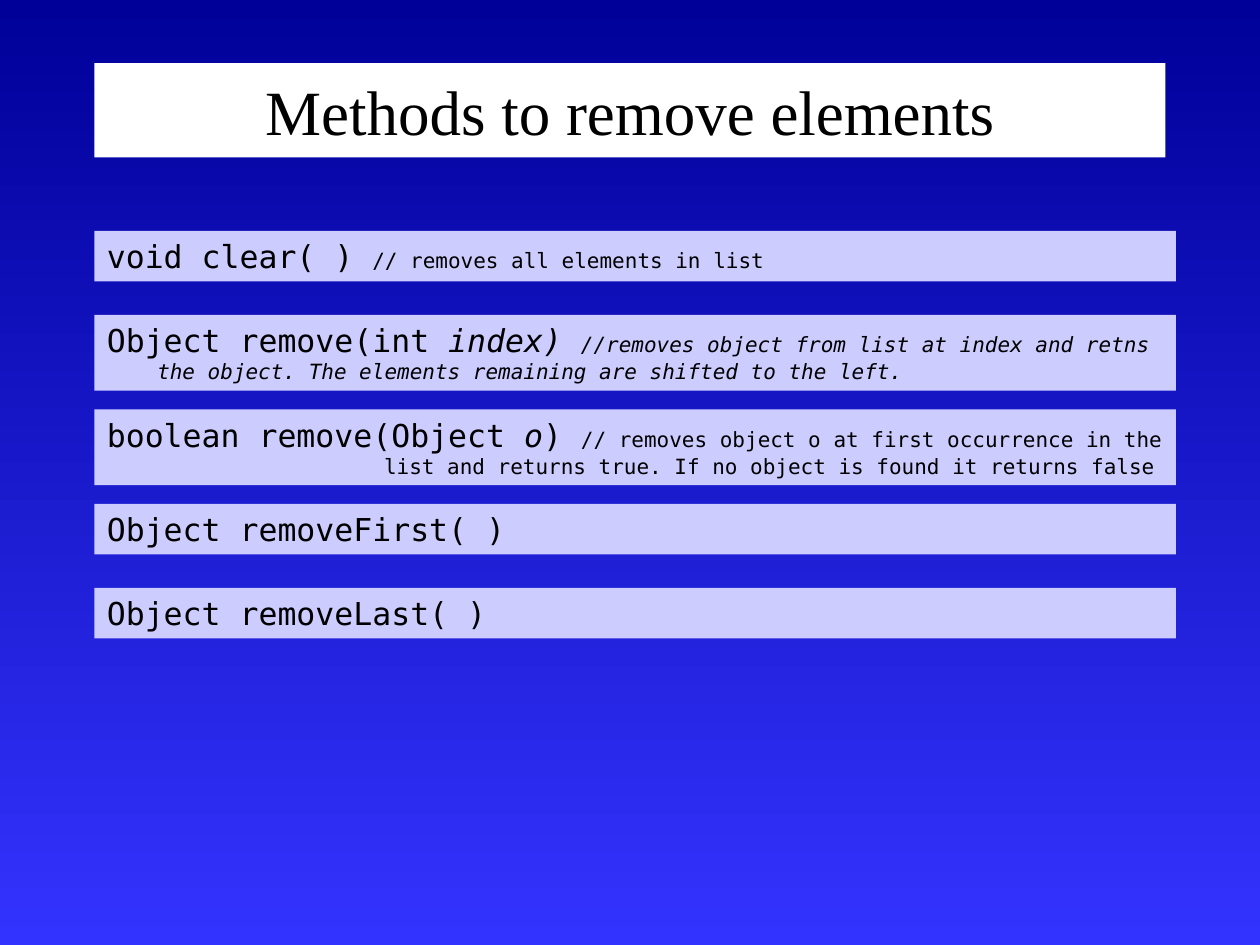
from dataclasses import dataclass

from pptx import Presentation
from pptx import util as u
from pptx.dml import color
from pptx.enum import shapes, text

SCALE = u.Inches(1) // 120


@dataclass(frozen=True)
class Theme:
    sky_top: str = "000099"
    sky_bottom: str = "3333FF"
    title_fill: str = "FFFFFF"
    method_fill: str = "CCCCFF"
    ink: str = "000000"
    title_font: str = "Times New Roman"
    code_font: str = "DejaVu Sans Mono"
    title_size: int = 36
    code_size: int = 18
    note_size: int = 12


def px(n):
    return u.Emu(n * SCALE)


def rgb(value):
    return color.RGBColor.from_string(value)


def add_run(p, content, *, font, size, ink, italic=False):
    r = p.add_run()
    r.text = content
    r.font.name = font
    r.font.size = u.Pt(size)
    r.font.italic = italic
    r.font.color.rgb = rgb(ink)


class Deck:
    def __init__(self, prs, theme):
        self.theme = theme
        self.s = prs.slides.add_slide(prs.slide_layouts[6])

    def background(self):
        fill = self.s.background.fill
        fill.gradient()
        fill.gradient_angle = 270
        ends = (self.theme.sky_top, self.theme.sky_bottom)
        for stop, value in zip(fill.gradient_stops, ends):
            stop.color.rgb = rgb(value)

    def panel(self, x, y, w, h, fill, anchor, align):
        sp = self.s.shapes.add_shape(
            shapes.MSO_SHAPE.RECTANGLE, px(x), px(y), px(w), px(h))
        sp.shadow.inherit = False
        sp.fill.solid()
        sp.fill.fore_color.rgb = rgb(fill)
        sp.line.fill.background()
        tf = sp.text_frame
        tf.word_wrap = True
        tf.vertical_anchor = anchor
        tf.paragraphs[0].alignment = align
        return tf

    def title(self, content):
        t = self.theme
        tf = self.panel(90, 60, 1020, 90, t.title_fill,
                        text.MSO_ANCHOR.MIDDLE, text.PP_ALIGN.CENTER)
        add_run(tf.paragraphs[0], content,
                font=t.title_font, size=t.title_size, ink=t.ink)

    def method(self, y, h, runs, hang=0):
        t = self.theme
        tf = self.panel(90, y, 1030, h, t.method_fill,
                        text.MSO_ANCHOR.TOP, text.PP_ALIGN.LEFT)
        tf.auto_size = text.MSO_AUTO_SIZE.SHAPE_TO_FIT_TEXT
        p = tf.paragraphs[0]
        if hang:
            pPr = p._p.get_or_add_pPr()
            pPr.set("marL", str(px(hang)))
            pPr.set("indent", str(-px(hang)))
        for content, size, italic in runs:
            add_run(p, content, font=t.code_font, size=size,
                    ink=t.ink, italic=italic)


def main():
    prs = Presentation()
    prs.slide_width, prs.slide_height = px(1200), px(900)
    theme = Theme()
    code, note = theme.code_size, theme.note_size
    deck = Deck(prs, theme)
    deck.background()
    deck.title("Methods to remove elements")
    deck.method(220, 48, [
        ("void clear( ) ", code, False),
        ("// removes all elements in list", note, False),
    ])
    deck.method(300, 72, [
        ("Object remove(int ", code, False),
        ("index) ", code, True),
        ("//removes object from list at index and retns the object. "
         "The elements remaining are shifted to the left.", note, True),
    ], hang=48)
    deck.method(390, 72, [
        ("boolean remove(Object ", code, False),
        ("o", code, True),
        (") ", code, False),
        ("// removes object o at first occurrence in the list and returns "
         "true. If no object is found it returns false", note, False),
    ], hang=264)
    deck.method(480, 48, [("Object removeFirst( )", code, False)])
    deck.method(560, 48, [("Object removeLast( )", code, False)])
    prs.save("out.pptx")


if __name__ == "__main__":
    main()
